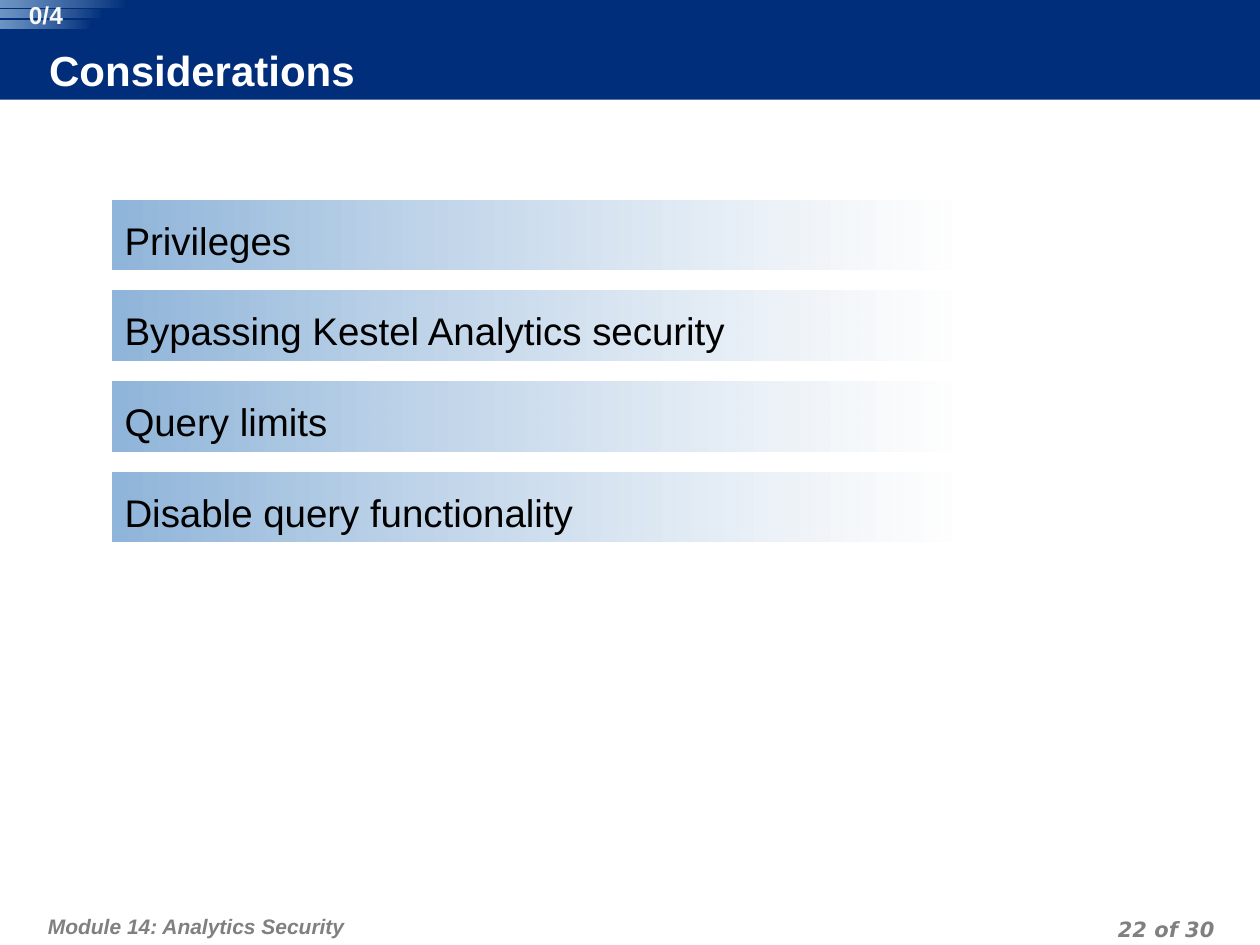
import pptx
import pptx.dml.color
import pptx.enum.shapes
import pptx.enum.text
import pptx.oxml.ns
import pptx.util
from lxml import etree

Inches = pptx.util.Inches
Pt = pptx.util.Pt
Shapes = pptx.enum.shapes.MSO_SHAPE
Align = pptx.enum.text.PP_ALIGN
Anchor = pptx.enum.text.MSO_ANCHOR

NAVY = "002E7A"
SKY = "90B5DA"
GREY = "808080"

TITLE = "Considerations"
TOPICS = [
    "Privileges",
    "Bypassing Kestel Analytics security",
    "Query limits",
    "Disable query functionality",
]
COUNTER = "0/4"
FOOTERS = [  # text, font, alignment, box, top inset
    ("Module 14: Analytics Security", "Arial", Align.LEFT, (0.33, 7.1, 6.18, 0.4), 0.1),
    ("22 of 30", "DejaVu Sans", Align.RIGHT, (7.36, 7.22, 2.33, 0.25), 0),
]
STRIPES = [(0, 1.01, 0.06), (0.08, 0.82, 0.06), (0.16, 0.73, 0.07)]  # top, width, height

TOPIC_LEFT, TOPIC_TOP, TOPIC_WIDTH, TOPIC_HEIGHT = 0.89, 1.59, 6.66, 0.55
TOPIC_PITCH = 0.72


def color(value):
    return pptx.dml.color.RGBColor.from_string(value)


def write(shape, text, size, fill, insets, font="Arial", bold=False, italic=False,
          align=Align.LEFT, anchor=Anchor.TOP):
    """Put one formatted run in a shape and return its paragraph."""
    frame = shape.text_frame
    frame.word_wrap = True
    frame.auto_size = pptx.enum.text.MSO_AUTO_SIZE.NONE
    frame.vertical_anchor = anchor
    (frame.margin_left, frame.margin_top,
     frame.margin_right, frame.margin_bottom) = map(Inches, insets)
    paragraph = frame.paragraphs[0]
    paragraph.alignment = align
    run = paragraph.add_run()
    run.text = text
    run.font.name, run.font.size = font, Pt(size)
    run.font.bold, run.font.italic = bold, italic
    run.font.color.rgb = color(fill)
    return paragraph


def add_bar(shapes, box, stops):
    """Add a square-cornered bar; stops are (colour, opacity in percent), right to left."""
    bar = shapes.add_shape(Shapes.ROUNDED_RECTANGLE, *map(Inches, box))
    bar.adjustments[0] = 0
    bar.shadow.inherit = False
    bar.line.fill.background()
    bar.fill.gradient()
    bar.fill.gradient_angle = 180
    for position, (stop, (value, _)) in enumerate(zip(bar.fill.gradient_stops, stops)):
        stop.position = position
        stop.color.rgb = color(value)
    for element, (_, opacity) in zip(bar._element.xpath(".//a:gs/a:srgbClr"), stops):
        if opacity < 100:
            alpha = etree.SubElement(element, pptx.oxml.ns.qn("a:alpha"))
            alpha.set("val", str(opacity * 1000))
    return bar


presentation = pptx.Presentation()
presentation.slide_width, presentation.slide_height = Inches(10), Inches(7.5)
slide = presentation.slides.add_slide(presentation.slide_layouts[5])

band = slide.shapes.add_shape(Shapes.RECTANGLE, 0, 0, Inches(10), Inches(0.79))
band.shadow.inherit = False
band.fill.solid()
band.fill.fore_color.rgb = color(NAVY)
band.line.fill.background()

title = slide.shapes.title
title._element.addprevious(band._element)
title.left, title.top, title.width, title.height = map(Inches, (0.39, 0.38, 7.87, 0.4))
title.fill.solid()
title.fill.fore_color.rgb = color(NAVY)
write(title, TITLE, 24, "FFFFFF", (0, 0, 0.05, 0.05), bold=True, anchor=Anchor.MIDDLE)

for text, font, align, box, inset in FOOTERS:
    footer = slide.shapes.add_textbox(*map(Inches, box))
    paragraph = write(footer, text, 12, GREY, (0.05, inset, 0.05, 0), font,
                      bold=True, italic=True, align=align)
    paragraph.line_spacing = Pt(18)

for index, topic in enumerate(TOPICS):
    box = (TOPIC_LEFT, TOPIC_TOP + index * TOPIC_PITCH, TOPIC_WIDTH, TOPIC_HEIGHT)
    bar = add_bar(slide.shapes, box, [("FEFEFE", 75), (SKY, 100)])
    write(bar, topic, 22, "000000", (0.1, 0.13, 0.1, 0.05))

counter = slide.shapes.add_group_shape()
for top, width, height in STRIPES:
    add_bar(counter.shapes, (0, top, width, height), [(NAVY, 100), (SKY, 76)])
label = counter.shapes.add_textbox(*map(Inches, (0.11, 0, 0.51, 0.23)))
write(label, COUNTER, 14, "F8F8F8", (0, 0, 0, 0), bold=True, align=Align.CENTER)

presentation.save("out.pptx")
